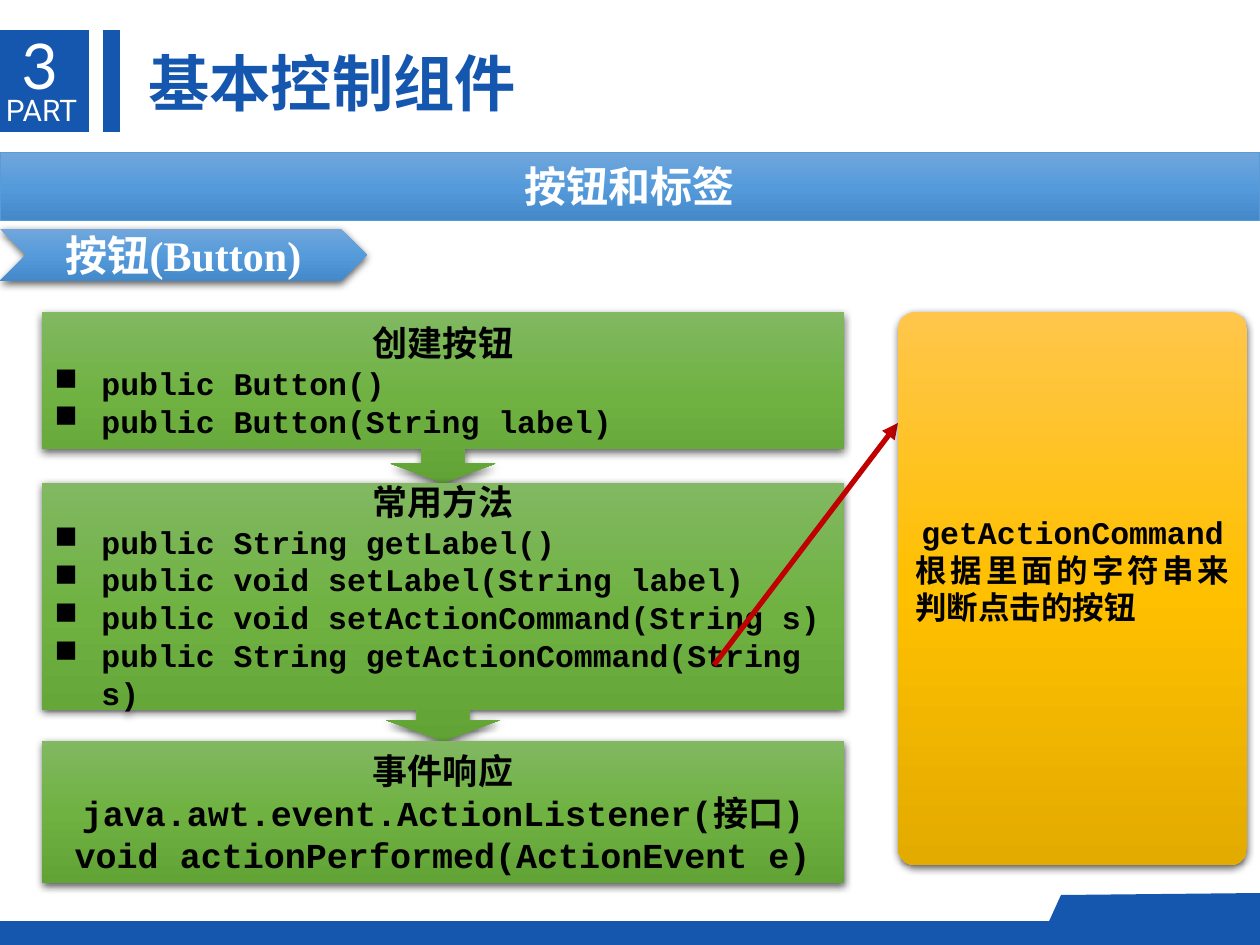
from copy import deepcopy

from lxml.etree import SubElement
from pptx import Presentation
from pptx.dml.color import RGBColor
from pptx.enum.shapes import MSO_CONNECTOR, MSO_SHAPE
from pptx.enum.text import MSO_ANCHOR, MSO_AUTO_SIZE, PP_ALIGN
from pptx.oxml.ns import qn
from pptx.util import Emu, Pt

PX = 914400 / 126
COLORS = {"navy": "1557AE", "white": "FFFFFF", "black": "000000",
          "red": "C00000", "edge": "5B9BD5"}
GRADIENTS = {"blue": ("71A6DB", "559BDB", "448ACA"),
             "green": ("81B861", "6FB242", "62A336"),
             "gold": ("FFC64B", "FFC000", "E3AB00")}
CJK = "Noto Sans CJK SC"
CODE = {"name": "Courier New", "size": Pt(20), "bold": True, "color": "black"}
SMALL = CODE | {"size": Pt(18)}
CENTER, JUSTIFY, LEFT = PP_ALIGN.CENTER, PP_ALIGN.JUSTIFY, PP_ALIGN.LEFT
INDENT = 47


def px(value):
    return Emu(round(value * PX))


def rgb(name):
    return RGBColor.from_string(COLORS[name])


def add_node(parent, tag, **values):
    return SubElement(parent, qn(tag), values)


def write(frame, lines):
    """Fill a text frame with (text, alignment, format, bulleted) lines."""
    for index, (text, align, style, bulleted) in enumerate(lines):
        para = frame.paragraphs[0] if index == 0 else frame.add_paragraph()
        para.alignment = align
        span = para.add_run()
        span.text = text
        for key, value in style.items():
            if key == "color":
                span.font.color.rgb = rgb(value)
            else:
                setattr(span.font, key, value)
        add_node(span.font._element, "a:ea", typeface=CJK)
        if bulleted:
            props = para._p.get_or_add_pPr()
            props.set("marL", str(px(INDENT)))
            props.set("indent", str(-px(INDENT)))
            add_node(props, "a:buChar", char="■")


def add_label(page, box, text, style, inset=True):
    label = page.shapes.add_textbox(*map(px, box))
    frame = label.text_frame
    frame.word_wrap = False
    frame.auto_size = MSO_AUTO_SIZE.SHAPE_TO_FIT_TEXT
    if not inset:
        for side in ("left", "top", "right", "bottom"):
            setattr(frame, f"margin_{side}", 0)
    write(frame, [(text, LEFT, style, False)])


def add_bar(page, box):
    bar = page.shapes.add_shape(MSO_SHAPE.FLOWCHART_PROCESS, *map(px, box))
    paint_navy(bar)


def paint_navy(shape):
    shape.shadow.inherit = False
    shape.fill.solid()
    shape.fill.fore_color.rgb = rgb("navy")
    shape.line.fill.background()


def add_panel(page, kind, box, gradient, lines, adjust=(), raised=True):
    """A gradient shape with middle-anchored text and an optional shadow."""
    panel = page.shapes.add_shape(kind, *map(px, box))
    for index, value in enumerate(adjust):
        panel.adjustments[index] = value
    panel.fill.gradient()
    panel.fill.gradient_angle = 270
    stop_list = panel.element.spPr.find(".//" + qn("a:gsLst"))
    stop_list.insert(1, deepcopy(stop_list[0]))
    for index, stop in enumerate(panel.fill.gradient_stops):
        stop.position = index / 2
        stop.color.rgb = RGBColor.from_string(GRADIENTS[gradient][index])
    panel.line.fill.background()
    panel.shadow.inherit = False
    if raised:
        effects = panel.element.spPr.find(qn("a:effectLst"))
        shadow = add_node(effects, "a:outerShdw", blurRad=str(Pt(4.5)),
                          dist=str(Pt(1.5)), dir="5400000", rotWithShape="0")
        tint = add_node(shadow, "a:srgbClr", val=COLORS["black"])
        add_node(tint, "a:alpha", val="63000")
    frame = panel.text_frame
    frame.word_wrap = True
    frame.vertical_anchor = MSO_ANCHOR.MIDDLE
    write(frame, lines)
    return panel


def add_header(page, left, top):
    # Part number block, accent bar and title
    add_bar(page, (left, top, 89, 102))
    add_bar(page, (left + 103, top, 17, 102))
    add_label(page, (left + 6, top + 62, 76, 36), "PART",
              {"name": "Roboto", "size": Pt(17), "color": "white"}, inset=False)
    add_label(page, (left + 9, top - 10, 67, 89), "3",
              {"name": "Lato", "size": Pt(36), "color": "white"})
    add_label(page, (left + 136, top + 9, 397, 87), "基本控制组件",
              {"name": CJK, "size": Pt(35), "bold": True, "color": "navy"})


def add_footer(page, left, top, width, height):
    # Bottom strip with a raised corner tab
    add_bar(page, (left, top, width, height))
    right = left + width
    outline = page.shapes.build_freeform(right, top + 18, scale=PX)
    outline.add_line_segments([(right, top - 28), (right - 199, top - 26),
                               (right - 219, top + 18)])
    paint_navy(outline.convert_to_shape())


def add_headings(page, left, top, width):
    heading = {"size": Pt(24), "bold": True, "color": "white"}
    # Topic arrow
    add_panel(page, MSO_SHAPE.CHEVRON, (left, top + 77, 367, 52), "blue",
              [("按钮(Button)", CENTER, heading | {"name": "Times New Roman"}, False)])
    # Section band
    band = add_panel(page, MSO_SHAPE.RECTANGLE, (left, top, width, 68), "blue",
                     [("按钮和标签", CENTER, heading | {"name": CJK}, False)],
                     raised=False)
    band.line.color.rgb = rgb("edge")
    band.line.width = Pt(0.5)


def add_steps(page, left, top, width):
    callout = MSO_SHAPE.DOWN_ARROW_CALLOUT
    steps = [
        (callout, 171, (0.25, 0.305, 0.113, 0.801), "创建按钮", JUSTIFY, SMALL, True,
         ["public Button()", "public Button(String label)"]),
        (callout, 258, (0.202, 0.219, 0.08, 0.877), "常用方法", LEFT, SMALL, True,
         ["public String getLabel()", "public void setLabel(String label)",
          "public void setActionCommand(String s)",
          "public String getActionCommand(String s)"]),
        (MSO_SHAPE.RECTANGLE, 142, (), "事件响应", CENTER, CODE, False,
         ["java.awt.event.ActionListener(接口)",
          "void actionPerformed(ActionEvent e)"]),
    ]
    for kind, height, adjust, title, align, style, bulleted, items in steps:
        lines = [(title, CENTER, CODE, False)]
        lines += [(item, align, style, bulleted) for item in items]
        add_panel(page, kind, (left, top, width, height), "green", lines, adjust)
        top += height


def add_note(page, left, top, width, height):
    # Arrow from the method to its explanation
    arrow = page.shapes.add_connector(
        MSO_CONNECTOR.STRAIGHT, px(left - 184), px(top + 353), px(left), px(top + 111))
    arrow.line.color.rgb = rgb("red")
    arrow.line.width = Pt(3)
    add_node(arrow.line._ln, "a:tailEnd", type="triangle")
    add_node(arrow.element.spPr, "a:effectLst")
    # Explanation, lifted a little above the middle
    note = add_panel(page, MSO_SHAPE.ROUNDED_RECTANGLE, (left, top, width, height),
                     "gold", [("getActionCommand", CENTER, SMALL, False),
                              ("根据里面的字符串来判断点击的按钮", JUSTIFY, SMALL, False)],
                     (0.049,))
    note.text_frame.margin_bottom = px(44)


def main():
    deck = Presentation()
    deck.slide_width, deck.slide_height = px(1260), px(945)
    page = deck.slides.add_slide(deck.slide_layouts[6])
    add_footer(page, 0, 921, 1260, 24)
    add_header(page, 0, 30)
    add_headings(page, 0, 152, 1260)
    add_steps(page, 42, 312, 802)
    add_note(page, 898, 312, 349, 553)
    deck.save("out.pptx")


if __name__ == "__main__":
    main()
